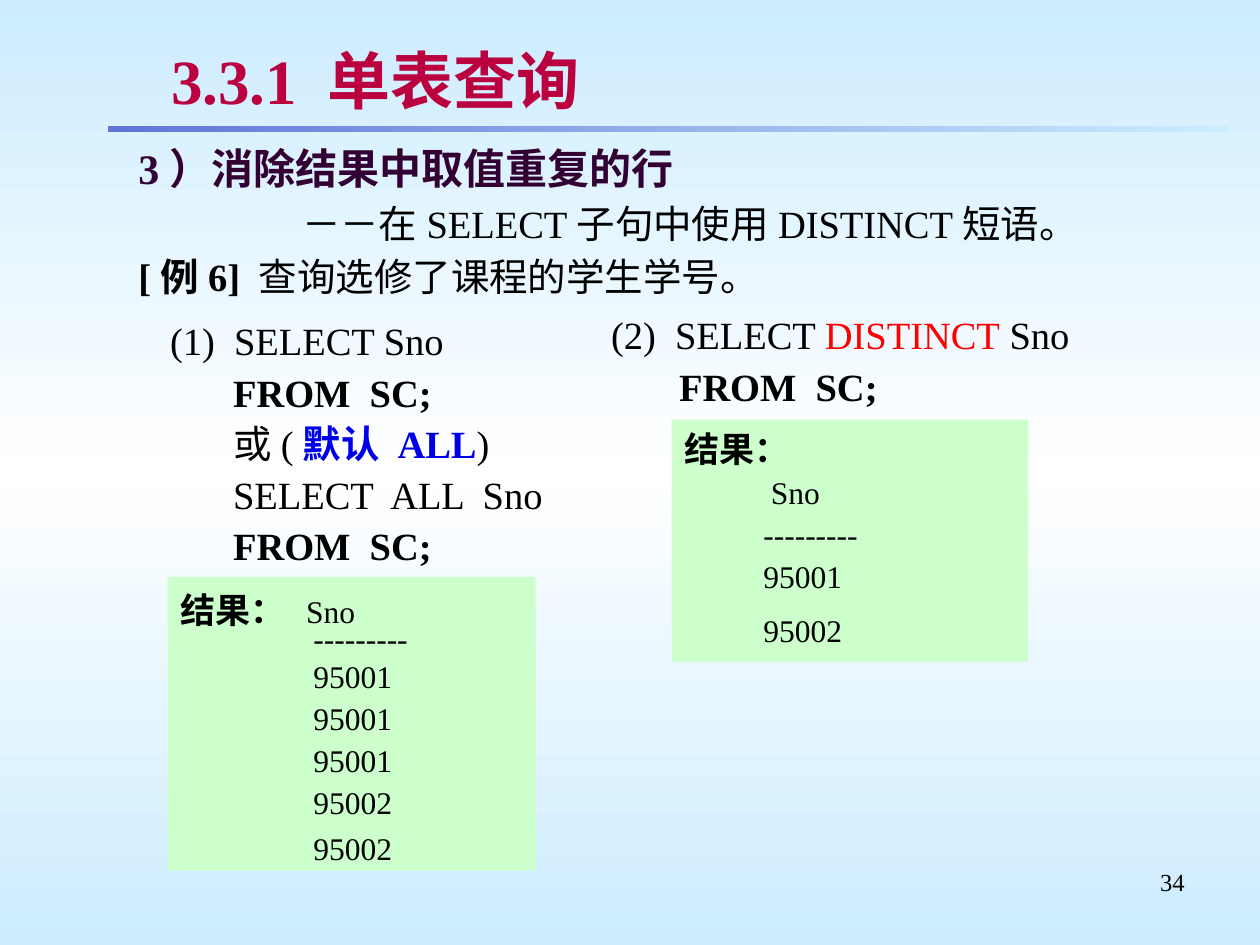
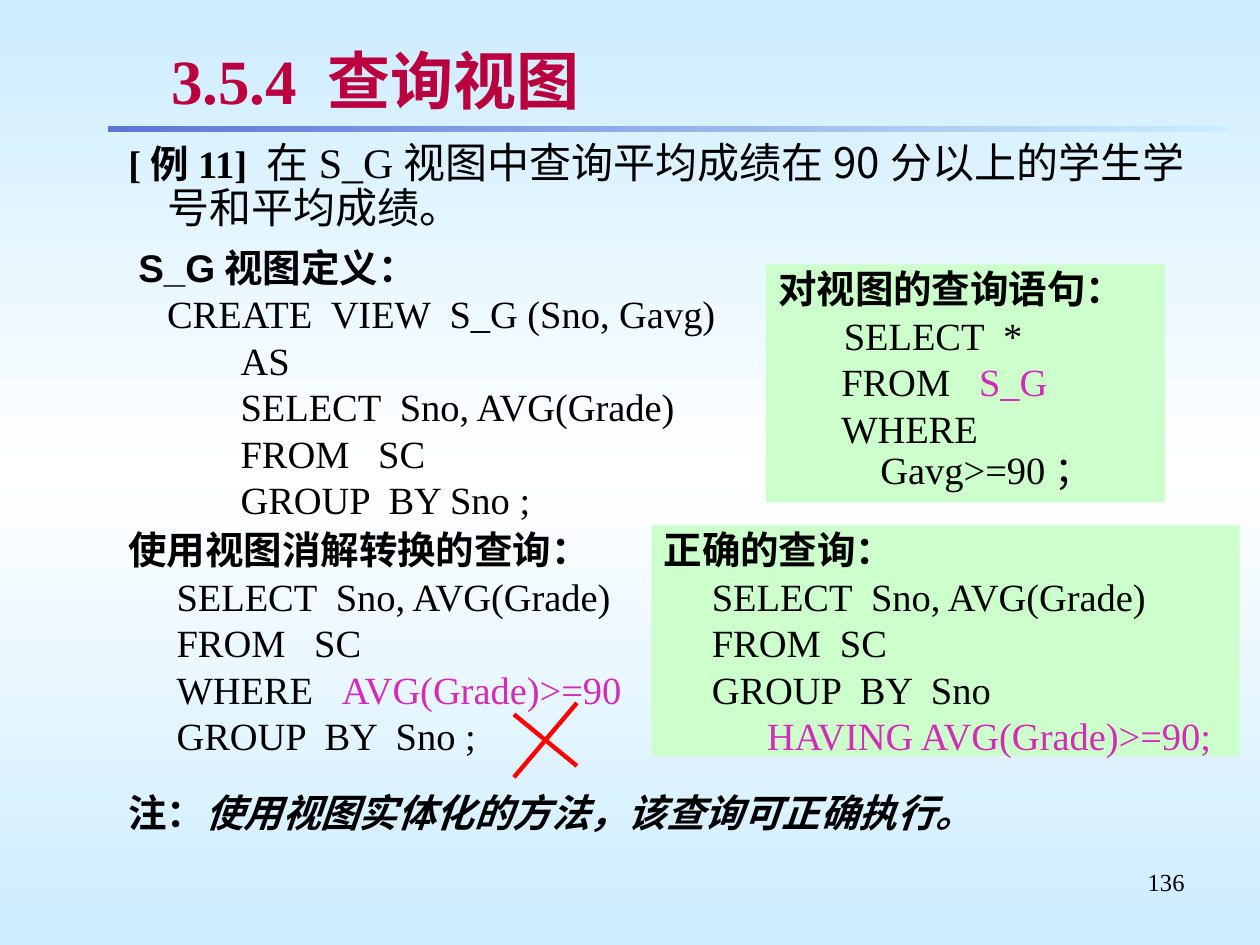
import pptx
import pptx.util
import pptx.dml.color
import pptx.enum.shapes
import pptx.enum.text
import pptx.oxml
import pptx.oxml.ns
from pptx.util import Cm, Pt

RGB = pptx.dml.color.RGBColor
SKY = RGB(0xCC, 0xEC, 0xFF)
WHITE = RGB(0xFF, 0xFF, 0xFF)
BAR_BLUE = RGB(0x5F, 0x76, 0xD7)
CRIMSON = RGB(0xBA, 0x00, 0x3E)
PLUM = RGB(0x33, 0x00, 0x33)
BLACK = RGB(0x00, 0x00, 0x00)
BLUE = RGB(0x00, 0x00, 0xE8)
RED = RGB(0xFF, 0x00, 0x00)
MAGENTA = RGB(0xD3, 0x2D, 0xB7)
MINT = RGB(0xCC, 0xFF, 0xCC)

SERIF = "Times New Roman"
CJK = "Noto Sans CJK SC"
NS = 'xmlns:a="http://schemas.openxmlformats.org/drawingml/2006/main"'
TOP = pptx.enum.text.MSO_ANCHOR.TOP
MIDDLE = pptx.enum.text.MSO_ANCHOR.MIDDLE
LEFT = pptx.enum.text.PP_ALIGN.LEFT
RIGHT = pptx.enum.text.PP_ALIGN.RIGHT


def xml(tag, inner="", **attrs):
    """Make a DrawingML element from its tag, inner markup and attributes."""
    listed = " ".join(f'{key}="{value}"' for key, value in attrs.items())
    return pptx.oxml.parse_xml(f"<a:{tag} {NS} {listed}>{inner}</a:{tag}>")


def set_gradient(fill, element, colors, angle):
    """Fill with evenly spaced colour stops."""
    fill.gradient()
    fill.gradient_angle = angle
    stops = element.find(".//" + pptx.oxml.ns.qn("a:gsLst"))
    for stop in list(stops):
        stops.remove(stop)
    for i, color in enumerate(colors):
        pos = 100000 * i // (len(colors) - 1)
        stops.append(xml("gs", f'<a:srgbClr val="{color}"/>', pos=pos))


def add_run(p, text, size=22, font=SERIF, color=BLACK, bold=False, italic=False,
            shadow=False):
    r = p.add_run()
    r.text = text
    r.font.size = Pt(size)
    r.font.bold = bold
    r.font.italic = italic
    r.font.color.rgb = color
    r.font.name = font
    latin = r.font._element.find(pptx.oxml.ns.qn("a:latin"))
    latin.addnext(xml("ea", typeface=CJK))
    if shadow:
        latin.addprevious(xml(
            "effectLst", '<a:outerShdw dist="25400" dir="2700000">'
            '<a:srgbClr val="C0C0C0"/></a:outerShdw>'))


def para(*runs, left=0, first=0, before=0, spacing=1.0, tab=None, align=LEFT, **style):
    """Describe a paragraph; a run is text or (text, format), lengths are in cm."""
    return dict(runs=runs, left=left, first=first, before=before,
                spacing=spacing, tab=tab, align=align, style=style)


def code(*runs, left=0.97, before=2.8, **kw):
    return para(*runs, left=left, before=before, spacing=0.9, **kw)


def heading(*runs, **kw):
    return para(*runs, spacing=0.9, bold=True, **kw)


class Deck:
    def __init__(self):
        self.prs = pptx.Presentation()
        self.prs.slide_width, self.prs.slide_height = Cm(25.4), Cm(19.05)
        master = self.prs.slide_master
        set_gradient(master.background.fill, master._element.cSld,
                     (SKY, WHITE, SKY), 270)
        self.s = None

    def new_slide(self, title, number):
        self.s = self.prs.slides.add_slide(self.prs.slide_layouts[6])
        bar = self.rect(2.18, 2.54, 22.58, 0.13)
        set_gradient(bar.fill, bar._element, (BAR_BLUE, SKY), 0)
        self.text(18.21, 17.35, 5.92, 1.32, para(str(number), size=14, align=RIGHT))
        self.text(3.2, 0.74, 20.93, 1.7,
                  para(title, size=36, color=CRIMSON, bold=True, shadow=True),
                  anchor=MIDDLE)

    def rect(self, x, y, w, h):
        kind = pptx.enum.shapes.MSO_SHAPE.RECTANGLE
        sp = self.s.shapes.add_shape(kind, Cm(x), Cm(y), Cm(w), Cm(h))
        sp.shadow.inherit = False
        sp.line.fill.background()
        return sp

    def text(self, x, y, w, h, *paras, anchor=TOP):
        sp = self.s.shapes.add_textbox(Cm(x), Cm(y), Cm(w), Cm(h))
        self.set_paragraphs(sp.text_frame, paras, anchor)

    def panel(self, x, y, w, h, *paras, anchor=TOP):
        sp = self.rect(x, y, w, h)
        sp.fill.solid()
        sp.fill.fore_color.rgb = MINT
        self.set_paragraphs(sp.text_frame, paras, anchor)

    def set_paragraphs(self, tf, paras, anchor):
        tf.word_wrap = True
        tf.vertical_anchor = anchor
        for i, item in enumerate(paras):
            p = tf.add_paragraph() if i else tf.paragraphs[0]
            ppr = p._p.get_or_add_pPr()
            ppr.set("marL", str(int(Cm(item["left"]))))
            ppr.set("indent", str(int(Cm(item["first"]))))
            if item["tab"]:
                tab = f'<a:tab pos="{int(Cm(item["tab"]))}" algn="l"/>'
                ppr.append(xml("tabLst", tab))
            p.alignment = item["align"]
            p.line_spacing = item["spacing"]
            p.space_before = Pt(item["before"])
            for run in item["runs"]:
                text, style = (run, {}) if isinstance(run, str) else run
                add_run(p, text, **{**item["style"], **style})

    def line(self, x1, y1, x2, y2, color, width):
        kind = pptx.enum.shapes.MSO_CONNECTOR.STRAIGHT
        c = self.s.shapes.add_connector(kind, Cm(x1), Cm(y1), Cm(x2), Cm(y2))
        c.line.color.rgb = color
        c.line.width = Pt(width)
        c._element.spPr.append(xml("effectLst"))


def single_table_slide(deck):
    deck.new_slide("3.3.1 单表查询", 34)
    deck.text(
        1.27, 2.74, 21.79, 3.71,
        para("3）消除结果中取值重复的行", left=1.27, size=24, color=PLUM, bold=True),
        para("－－在SELECT子句中使用DISTINCT短语。", left=4.57, before=4.1),
        para(("[例6] ", dict(bold=True)), "查询选修了课程的学生学号。",
             left=1.27, before=4.1))

    query = dict(left=1.27, before=5.5)
    deck.text(
        3.18, 6.35, 8.05, 5.28,
        code("(1)  SELECT Sno", left=0, before=0),
        code("FROM  SC;", bold=True, **query),
        code("或(", ("默认 ALL", dict(color=BLUE, bold=True)), ")", **query),
        code("SELECT  ALL  Sno", **query),
        code("FROM  SC;", bold=True, **query),
        anchor=MIDDLE)
    deck.text(
        12.07, 6.15, 10, 2.34,
        code("(2)  SELECT ", ("DISTINCT", dict(color=RED)), " Sno", left=0, before=0),
        code("FROM  SC;", left=1.37, before=5.5, bold=True),
        anchor=MIDDLE)

    label = ("结果：", dict(size=20, font="Cabin", bold=True))
    row = dict(left=2.69, size=18)
    deck.panel(
        3.38, 11.63, 7.42, 5.92,
        para(label, "\tSno", spacing=1.2, tab=2.74, size=18),
        para("---------", spacing=0.4, before=4.5, **row),
        *[code(sno, before=4.5, **row) for sno in ("95001",) * 3 + ("95002",)],
        code("95002", before=7, **row),
        anchor=MIDDLE)
    row["left"] = 1.6
    deck.panel(
        13.54, 8.46, 7.19, 4.88,
        code(label, left=0, before=0),
        code("Sno", left=1.75, before=4.5, size=18),
        *[code(value, before=4.5, **row) for value in ("---------", "95001")],
        code("95002", before=11.5, **row),
        anchor=MIDDLE)


def view_slide(deck):
    deck.new_slide("3.5.4 查询视图", 136)
    hanging = dict(left=2.06, first=-0.79)
    cjk = dict(font=CJK)
    deck.text(
        1.07, 2.74, 23.5, 2.18,
        para(("[例11]", dict(size=22, bold=True)), (" 在", cjk), "S_G",
             ("视图中查询平均成绩在90分以上的学生学号和平均成绩。", cjk),
             size=24, spacing=0.9, **hanging))
    deck.text(
        2.54, 4.9, 12.5, 5.69,
        heading("S_G视图定义：", font="Arial"),
        code("CREATE  VIEW  S_G (Sno, Gavg)", left=0.58),
        *[code(row, left=2.06) for row in (
            "AS", "SELECT  Sno, AVG(Grade)", "FROM   SC", "GROUP  BY Sno ;")])
    deck.panel(
        15.44, 5.33, 8.05, 4.8,
        heading("对视图的查询语句：", font=CJK),
        code("SELECT  *", left=1.32),
        code("FROM   ", ("S_G", dict(color=MAGENTA)), **hanging),
        code("WHERE  Gavg>=90；", **hanging))
    deck.text(
        2.34, 10.59, 10.59, 4.88,
        heading("使用视图消解转换的查询：", font=CJK),
        code("SELECT  Sno, AVG(Grade)"),
        code("FROM   SC"),
        code("WHERE   ", ("AVG(Grade)>=90", dict(color=MAGENTA))),
        code("GROUP  BY  Sno ;"))
    deck.line(10.36, 14.4, 11.63, 15.44, RED, 2.5)
    deck.line(11.63, 14.17, 10.36, 15.67, RED, 2.5)
    deck.panel(
        13.13, 10.59, 11.86, 4.65,
        heading("正确的查询："),
        *[code(row) for row in (
            "SELECT  Sno, AVG(Grade)", "FROM  SC", "GROUP  BY  Sno")],
        code("HAVING AVG(Grade)>=90;", left=2.08, color=MAGENTA))
    deck.text(
        1.07, 15.88, 23.7, 1.9,
        heading("注：", ("使用视图实体化的方法，该查询可正确执行。", dict(italic=True)),
                **hanging))


def main():
    deck = Deck()
    single_table_slide(deck)
    view_slide(deck)
    deck.prs.save("out.pptx")


if __name__ == "__main__":
    main()
